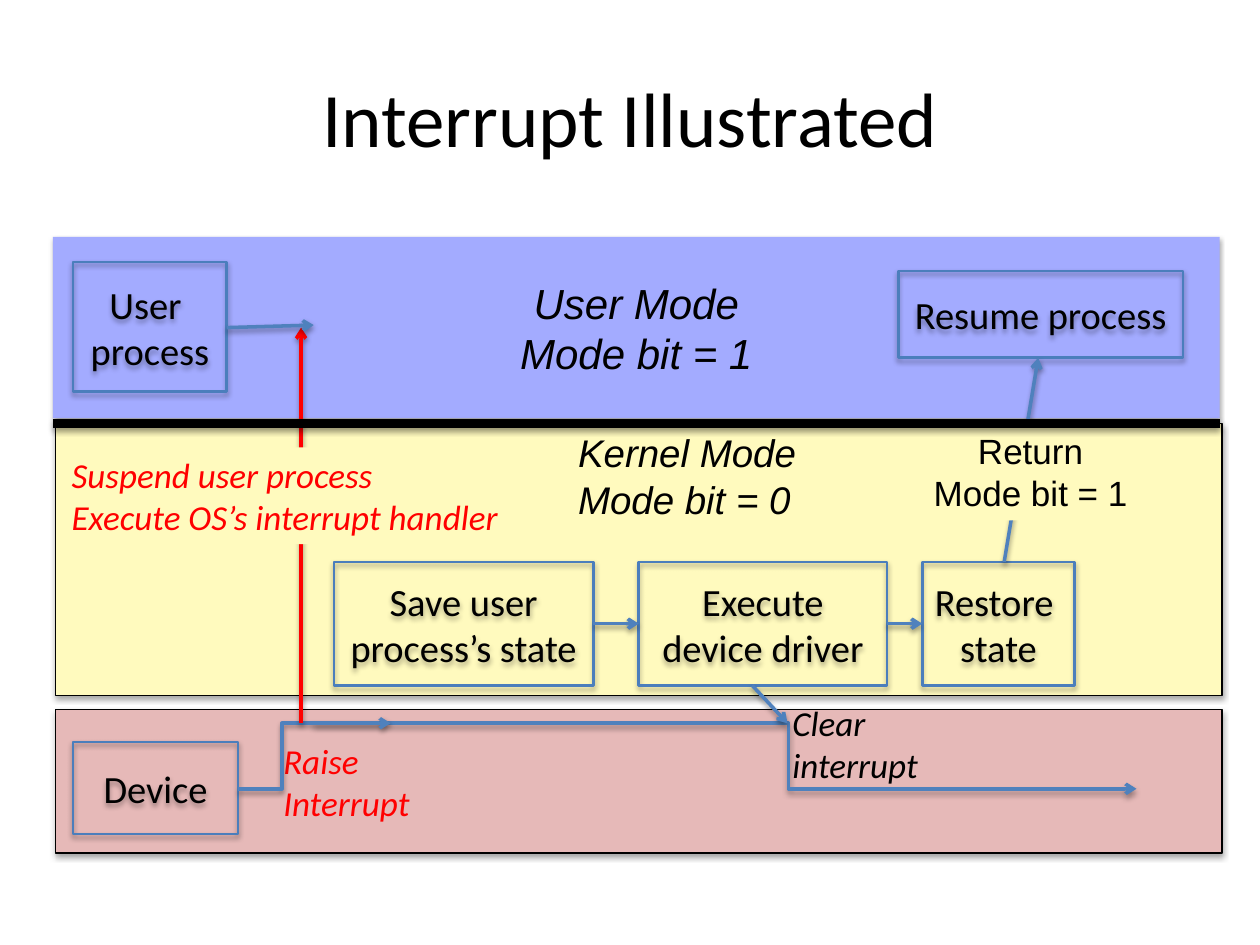
from dataclasses import dataclass

import pptx
import pptx.dml.color
import pptx.enum.dml
import pptx.enum.shapes
import pptx.enum.text
import pptx.oxml
import pptx.oxml.ns
import pptx.util

Inches = pptx.util.Inches
Pt = pptx.util.Pt
LEFT = pptx.enum.text.PP_ALIGN.LEFT
CENTER = pptx.enum.text.PP_ALIGN.CENTER
MIDDLE = pptx.enum.text.MSO_ANCHOR.MIDDLE
TOP = pptx.enum.text.MSO_ANCHOR.TOP


@dataclass(frozen=True)
class Theme:
    body_font: str = "Calibri"
    mode_font: str = "Arial"
    black: str = "000000"
    red: str = "FF0000"
    user_band: str = "A3ABFF"
    kernel_band: str = "FFFABE"
    device_band: str = "E6B9B8"
    box_line: str = "4B7EBC"
    arrow: str = "4F81BD"
    title_size: int = 44
    mode_size: int = 24
    box_size: int = 22
    note_size: int = 20


def color(value):
    return pptx.dml.color.RGBColor.from_string(value)


def add_shadow(effects, opacity):
    effects.append(pptx.oxml.parse_xml(
        f'<a:outerShdw {pptx.oxml.ns.nsdecls("a")} blurRad="{Pt(3.1)}" '
        f'dist="{Pt(1.8)}" dir="5400000" rotWithShape="0">'
        f'<a:srgbClr val="000000"><a:alpha val="{opacity * 1000}"/></a:srgbClr>'
        '</a:outerShdw>'))


class Diagram:
    def __init__(self, slide, theme):
        self.slide = slide
        self.theme = theme

    def add_text(self, shape, lines, size, font=None, text_color=None, italic=False,
                 align=CENTER, anchor=MIDDLE, wrap=True):
        frame = shape.text_frame
        frame.word_wrap = wrap
        frame.vertical_anchor = anchor
        for index, line in enumerate(lines):
            paragraph = frame.add_paragraph() if index else frame.paragraphs[0]
            paragraph.alignment = align
            run = paragraph.add_run()
            run.text = line
            run.font.size = Pt(size)
            run.font.name = font or self.theme.body_font
            run.font.italic = italic
            run.font.color.rgb = color(text_color or self.theme.black)

    def rectangle(self, bounds, fill=None, line=None, width=0.75, shadow=True):
        shape = self.slide.shapes.add_shape(
            pptx.enum.shapes.MSO_SHAPE.RECTANGLE, *map(Inches, bounds))
        if fill:
            shape.fill.solid()
            shape.fill.fore_color.rgb = color(fill)
        else:
            shape.fill.background()
        if line:
            shape.line.color.rgb = color(line)
            shape.line.width = Pt(width)
        else:
            shape.line.fill.background()
        shape.shadow.inherit = False
        if shadow:
            add_shadow(shape._element.spPr.find(pptx.oxml.ns.qn("a:effectLst")), 35)
        return shape

    def box(self, bounds, *lines):
        shape = self.rectangle(bounds, line=self.theme.box_line, width=1.5)
        self.add_text(shape, lines, self.theme.box_size)

    def label(self, bounds, lines, size, fill=None, **style):
        """Add text on the slide, or on a plain patch when a fill is given."""
        if fill:
            shape = self.rectangle(bounds, fill, shadow=False)
        else:
            shape = self.slide.shapes.add_textbox(*map(Inches, bounds))
        self.add_text(shape, lines, size, **style)

    def note(self, bounds, lines, size=None, align=LEFT, **style):
        self.label(bounds, lines, size or self.theme.note_size, align=align,
                   anchor=TOP, wrap=False, **style)

    def line(self, start, end, line_color=None, width=2, bend=None, arrow=True):
        """Draw a straight line, or an elbow that turns at the fraction bend."""
        kinds = pptx.enum.shapes.MSO_CONNECTOR
        connector = self.slide.shapes.add_connector(
            kinds.STRAIGHT if bend is None else kinds.ELBOW,
            *map(Inches, (*start, *end)))
        connector.line.color.rgb = color(line_color or self.theme.arrow)
        connector.line.width = Pt(width)
        properties = connector._element.spPr
        if bend is not None:
            guides = next(properties.iter(pptx.oxml.ns.qn("a:avLst")))
            guides.append(pptx.oxml.parse_xml(
                f'<a:gd {pptx.oxml.ns.nsdecls("a")} name="adj1" '
                f'fmla="val {round(bend * 100000)}"/>'))
        if arrow:
            outline = properties.find(pptx.oxml.ns.qn("a:ln"))
            outline.append(pptx.oxml.parse_xml(
                f'<a:tailEnd {pptx.oxml.ns.nsdecls("a")} type="arrow"/>'))
        effects = pptx.oxml.parse_xml(f'<a:effectLst {pptx.oxml.ns.nsdecls("a")}/>')
        add_shadow(effects, 38)
        properties.append(effects)


def main():
    presentation = pptx.Presentation()
    presentation.slide_width = Inches(10)
    presentation.slide_height = Inches(7.5)
    slide = presentation.slides.add_slide(presentation.slide_layouts[6])
    theme = Theme()
    diagram = Diagram(slide, theme)

    # Bands and title
    diagram.rectangle((0.44, 5.63, 9.26, 1.14), theme.device_band, theme.black)
    diagram.rectangle((0.44, 3.36, 9.26, 2.16), theme.kernel_band, theme.black)
    user_band = diagram.rectangle((0.42, 1.88, 9.26, 1.44), theme.user_band)
    diagram.add_text(user_band, ["User Mode", "Mode bit = 1"], theme.mode_size,
                     font=theme.mode_font, italic=True)
    diagram.label((0.5, 0.3, 9, 1.25), ["Interrupt Illustrated"], theme.title_size)

    # Device, interrupt signal and process steps
    signal_high, signal_low = 5.74, 6.26
    diagram.box((0.58, 5.89, 1.31, 0.73), "Device")
    diagram.line((2.49, signal_high), (9.02, signal_low), bend=0.577)
    step_top, step_height = 4.46, 0.98
    for left, width, lines in (
        (2.65, 2.06, ["Save user process’s state "]),
        (5.07, 1.97, ["Execute device driver"]),
        (7.32, 1.21, ["Restore ", "state"]),
    ):
        diagram.box((left, step_top, width, step_height), *lines)
    diagram.box((0.58, 2.08, 1.22, 1.03), "User ", "process")
    diagram.box((7.13, 2.15, 2.26, 0.69), "Resume process")
    diagram.note((2.15, 5.82, 1.43, 0.77), ["Raise", "Interrupt"],
                 text_color=theme.red, italic=True)
    diagram.line((1.89, signal_low), (3.1, signal_high), bend=0.287)

    # Suspend the user process
    diagram.line((2.39, signal_high), (2.39, 2.6), theme.red)
    diagram.note((0.47, 3.55, 4.5, 0.77),
                 ["Suspend user process", "Execute OS’s interrupt handler"],
                 fill=theme.kernel_band, text_color=theme.red, italic=True)
    diagram.line((1.8, 2.6), (2.49, 2.58))

    # Run the handler and clear the interrupt
    step_middle = step_top + step_height / 2
    diagram.line((4.71, step_middle), (5.07, step_middle))
    diagram.line((7.04, step_middle), (7.32, step_middle))
    diagram.line((5.97, step_top + step_height), (6.25, signal_high))
    diagram.note((6.19, 5.52, 1.42, 0.77), ["Clear", "interrupt"], italic=True)

    # Return to user mode
    diagram.line((7.97, step_top), (8.24, 2.84))
    diagram.note((7.31, 3.36, 1.74, 0.77), ["Return", "Mode bit = 1"],
                 fill=theme.kernel_band, font=theme.mode_font, align=CENTER)
    diagram.note((4.49, 3.36, 1.93, 0.83), ["Kernel Mode", "Mode bit = 0"],
                 theme.box_size, font=theme.mode_font, italic=True)
    diagram.line((0.42, 3.36), (9.68, 3.36), theme.black, width=5.5, arrow=False)

    presentation.save("out.pptx")


if __name__ == "__main__":
    main()
